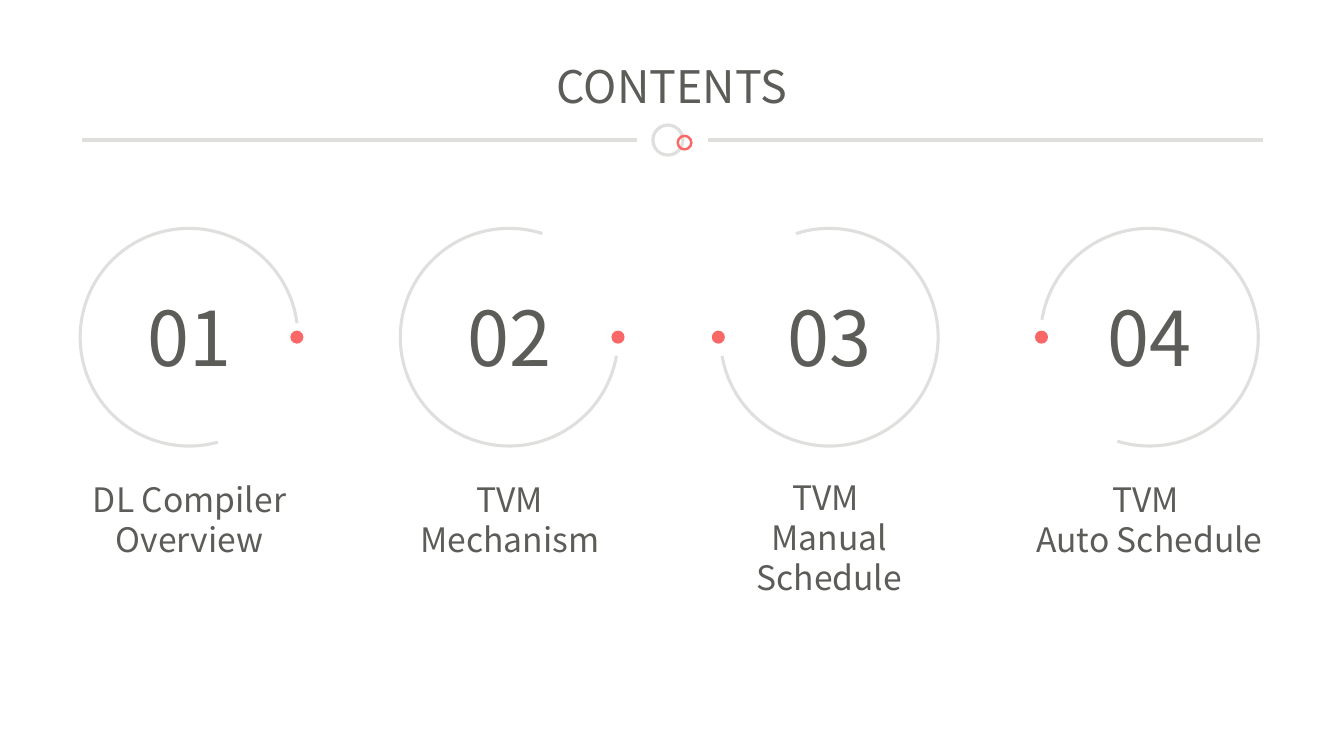
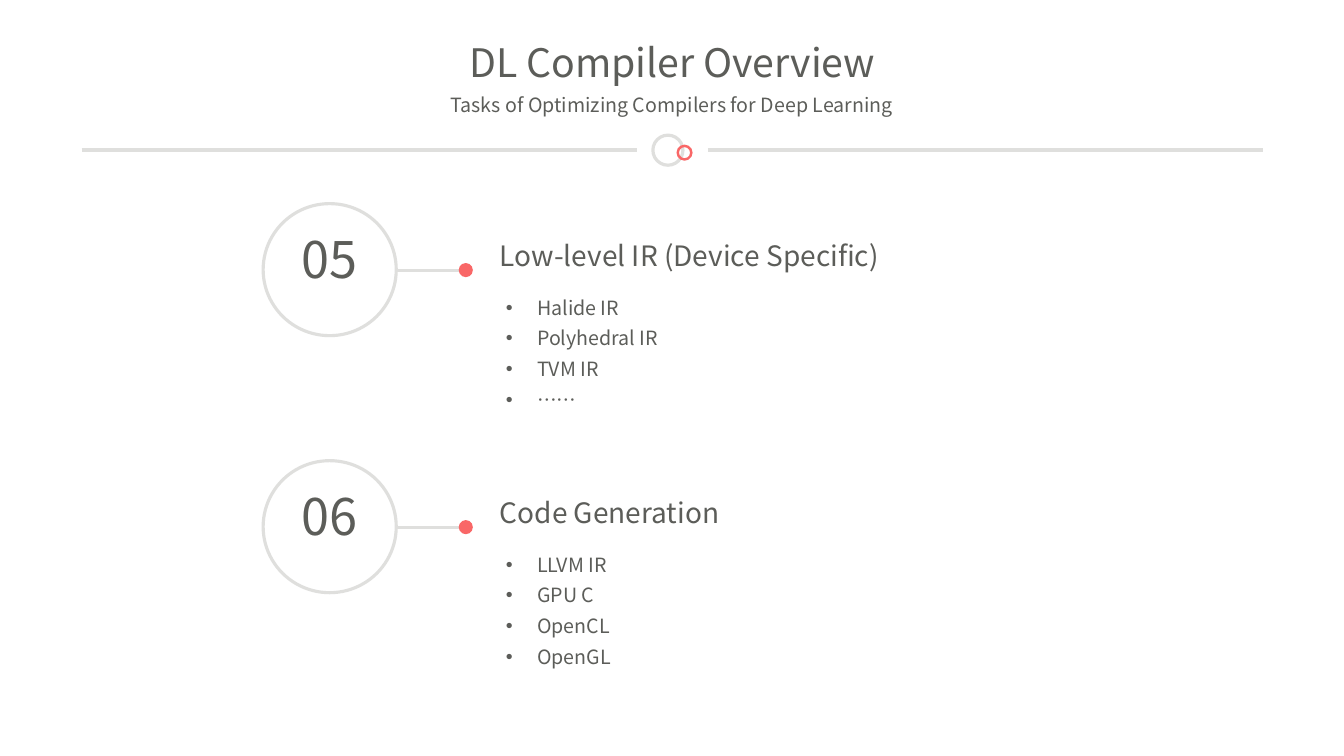
import pptx
import pptx.util
from lxml import etree
from pptx.dml.color import RGBColor
from pptx.enum.shapes import MSO_CONNECTOR, MSO_SHAPE
from pptx.enum.text import PP_ALIGN
from pptx.oxml.ns import qn
from pptx.util import Inches, Pt

FONT = "Noto Sans CJK SC"
TEXT, GREY, RED = "5C5D59", "DFDFDD", "F96767"
LEFT, CENTER = PP_ALIGN.LEFT, PP_ALIGN.CENTER
ARC = (44.81, 211.56, 0.014)


def color(hex_code):
    return RGBColor.from_string(hex_code)


def add_text(s, box, lines, size, align=CENTER, spacing=None, bullet=False):
    tf = s.shapes.add_textbox(*map(Inches, box)).text_frame
    tf.word_wrap = True
    for i, line in enumerate(lines):
        p = tf.add_paragraph() if i else tf.paragraphs[0]
        p.alignment = align
        if spacing:
            p.line_spacing = Pt(spacing)
        if bullet:
            add_bullet(p)
        r = p.add_run()
        r.text = line
        for name, value in {"size": Pt(size), "name": FONT}.items():
            setattr(r.font, name, value)
        r.font.color.rgb = color(TEXT)
        etree.SubElement(r.font._element, qn("a:ea")).set("typeface", FONT)


def add_bullet(p):
    """Give the paragraph a round bullet with a hanging indent."""
    pPr = p._p.get_or_add_pPr()
    indent = Inches(0.31)
    pPr.set("marL", str(indent))
    pPr.set("indent", str(-indent))
    etree.SubElement(pPr, qn("a:buFont")).set("typeface", "Arial")
    etree.SubElement(pPr, qn("a:buChar")).set("char", "•")


def add_figure(s, kind, box, fill=None, line=None, adjust=(), rotation=0):
    sp = s.shapes.add_shape(kind, *map(Inches, box))
    sp.shadow.inherit = False
    sp.rotation = rotation
    for i, value in enumerate(adjust):
        sp.adjustments[i] = value
    if fill:
        sp.fill.solid()
        sp.fill.fore_color.rgb = color(fill)
    else:
        sp.fill.background()
    if line:
        sp.line.color.rgb = color(line)
        sp.line.width = Pt(2.25)
    else:
        sp.line.fill.background()


def add_rule(s, x1, x2, y, width, tail=None):
    """Draw a level grey line, with an end mark if tail names one."""
    cx = s.shapes.add_connector(MSO_CONNECTOR.STRAIGHT,
                                *map(Inches, (x1, y, x2, y)))
    cx.line.color.rgb = color(GREY)
    cx.line.width = Pt(width)
    if tail:
        ln = cx.line._get_or_add_ln()
        etree.SubElement(ln, qn("a:tailEnd")).set("type", tail)
    etree.SubElement(cx._element.spPr, qn("a:effectLst"))


def add_divider(s, y):
    """Draw the two rules and the pair of rings between them, centred on y."""
    add_figure(s, MSO_SHAPE.DONUT, (6.46, y - 0.165, 0.33, 0.33), GREY,
               adjust=[0.097])
    add_figure(s, MSO_SHAPE.DONUT, (6.71, y - 0.055, 0.16, 0.16), RED,
               adjust=[0.157])
    for x in (0.81, 7.02):
        add_rule(s, x, x + 5.51, y, 2.5)


def add_chapter(s, x, y, number, lines, rotation, dot_dx, label):
    """Place a numbered open ring at x, y; label is (dx, dy, width)."""
    ring = 2.19
    add_figure(s, MSO_SHAPE.BLOCK_ARC, (x, y, ring, ring), GREY,
               adjust=ARC, rotation=rotation)
    add_figure(s, MSO_SHAPE.OVAL, (x + dot_dx, y + 1.03, 0.13, 0.13), RED)
    add_text(s, (x + 0.49, y + 0.59, 1.21, 1.01), [number], 54)
    dx, dy, width = label
    add_text(s, (x + dx, y + dy, width, 0.91), lines, 24)


def add_task(s, x, y, number, heading, items):
    """Place a numbered circle at x, y with its heading and bullets."""
    mid = y + 0.66
    add_figure(s, MSO_SHAPE.OVAL, (x, y, 1.32, 1.31), line=GREY)
    add_rule(s, x + 1.32, x + 2.01, mid, 2.25, "oval")
    add_text(s, (x + 0.15, y + 0.19, 1.02, 0.71), [number], 36)
    add_figure(s, MSO_SHAPE.OVAL, (x + 1.94, mid - 0.07, 0.14, 0.14), RED)
    add_text(s, (x + 2.25, y + 0.3, 6.57, 0.44), [heading], 20, LEFT)
    add_text(s, (x + 2.31, y + 0.79, 5.87, 1.31), items, 14, LEFT, 22, True)


def build_contents(s):
    add_text(s, (4.13, 0.53, 5.07, 0.64), ["CONTENTS"], 32)
    add_divider(s, 1.39)
    narrow, wide = (-0.03, 2.45, 2.26), (-0.23, 2.45, 2.65)
    chapters = [
        ("01", ["DL Compiler Overview"], 0, 2.1, narrow),
        ("02", ["TVM Mechanism"], 295.1, 2.11, narrow),
        ("03", ["TVM ", "Manual Schedule"], 177.5, -0.07,
         (-0.23, 2.43, 2.65)),
        ("04", ["TVM ", "Auto Schedule"], 114.5, -0.04, wide),
    ]
    for i, chapter in enumerate(chapters):
        add_chapter(s, 0.78 + i * 3.175, 2.25, *chapter)


def build_tasks(s):
    add_text(s, (4.29, 0.33, 4.76, 0.57), ["DL Compiler Overview"], 28)
    add_text(s, (2.51, 0.8, 8.31, 0.39),
             ["Tasks of Optimizing Compilers for Deep Learning"], 14,
             spacing=22)
    add_divider(s, 1.49)
    tasks = [
        ("05", "Low-level IR (Device Specific)",
         ["Halide IR", "Polyhedral IR", "TVM IR", "……"]),
        ("06", "Code Generation", ["LLVM IR", "GPU C", "OpenCL", "OpenGL"]),
    ]
    for i, task in enumerate(tasks):
        add_task(s, 2.61, 2.02 + i * 2.55, *task)


def main():
    prs = pptx.Presentation()
    prs.slide_width, prs.slide_height = Inches(13.33), Inches(7.5)
    for build in (build_contents, build_tasks):
        build(prs.slides.add_slide(prs.slide_layouts[6]))
    prs.save("out.pptx")


if __name__ == "__main__":
    main()
